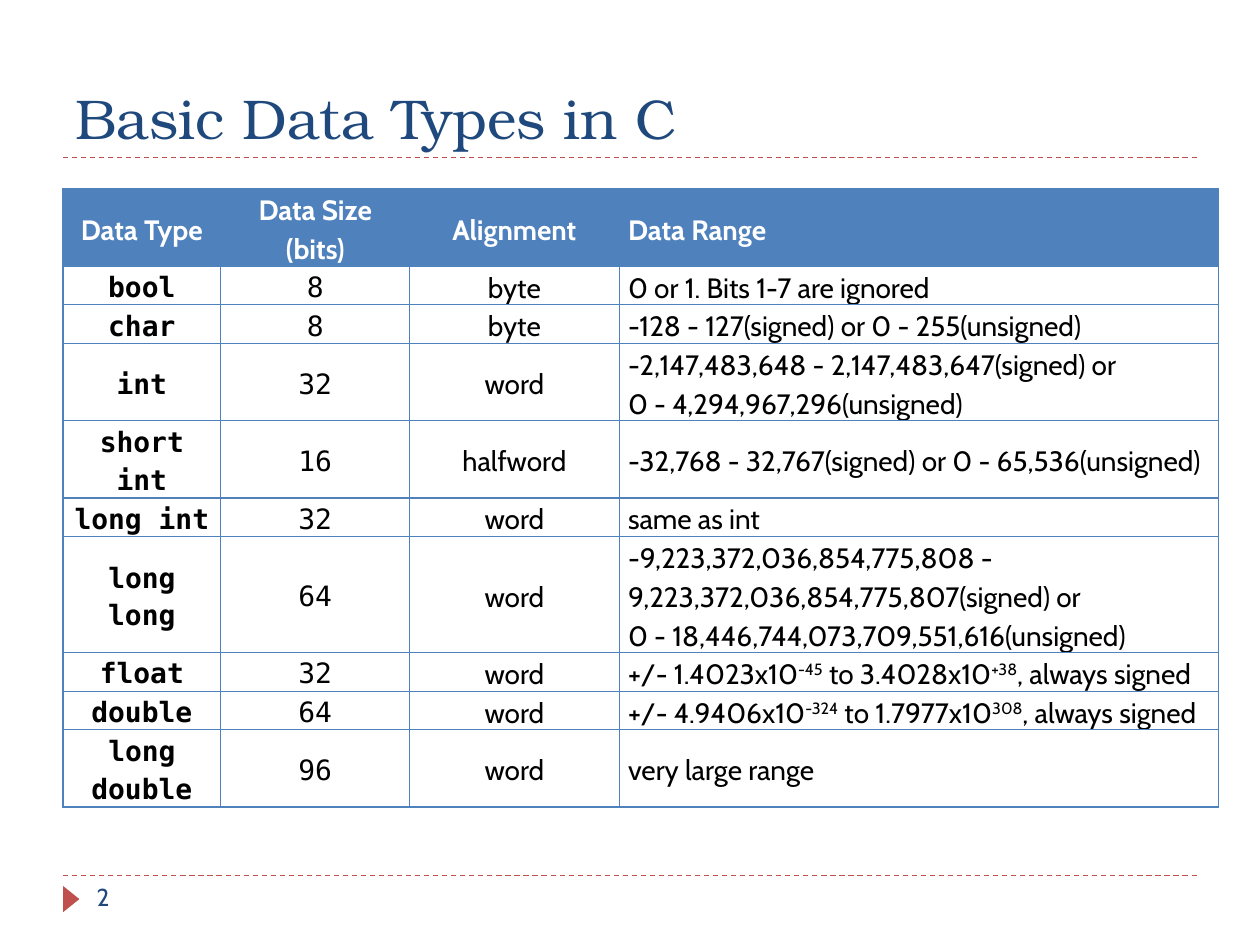
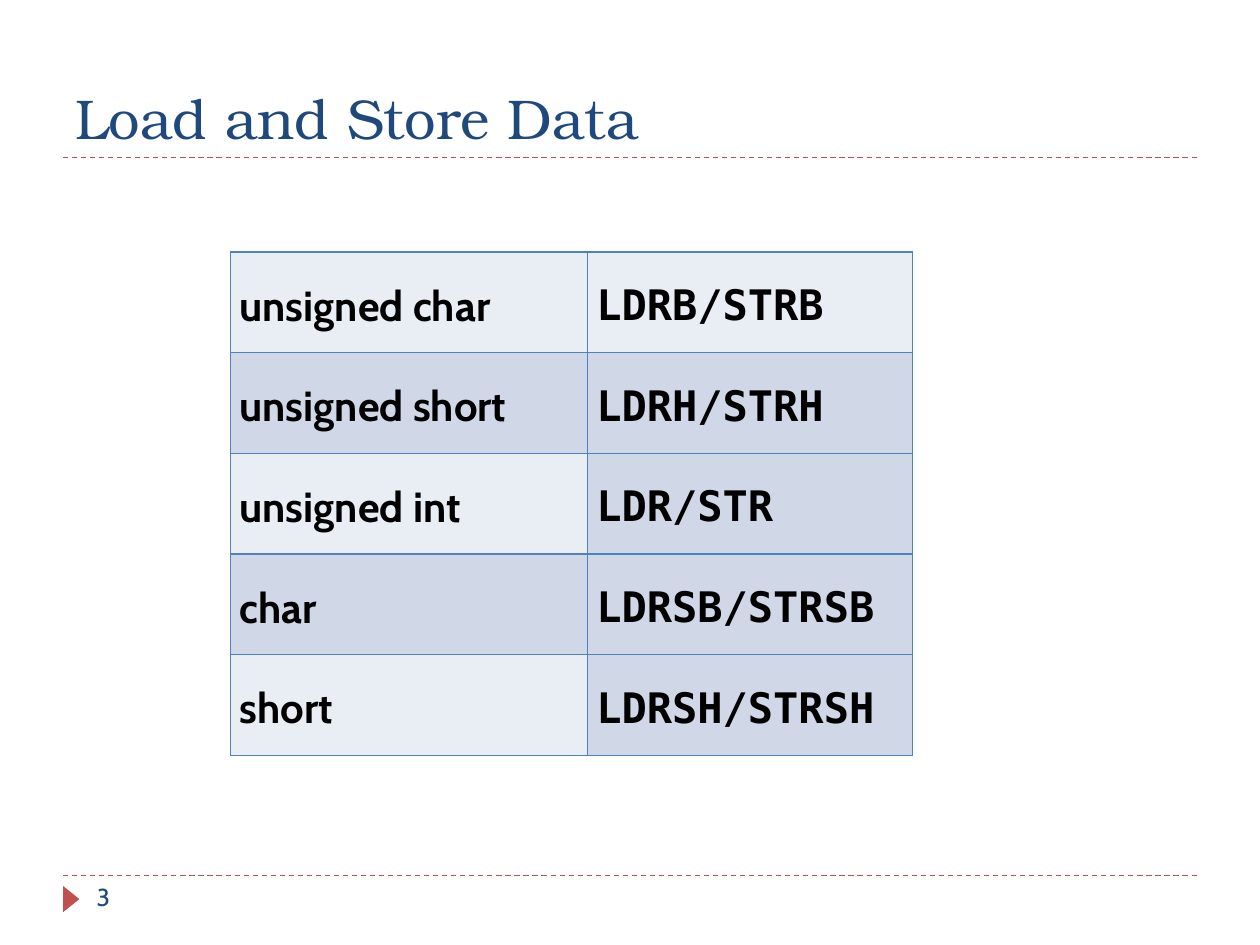
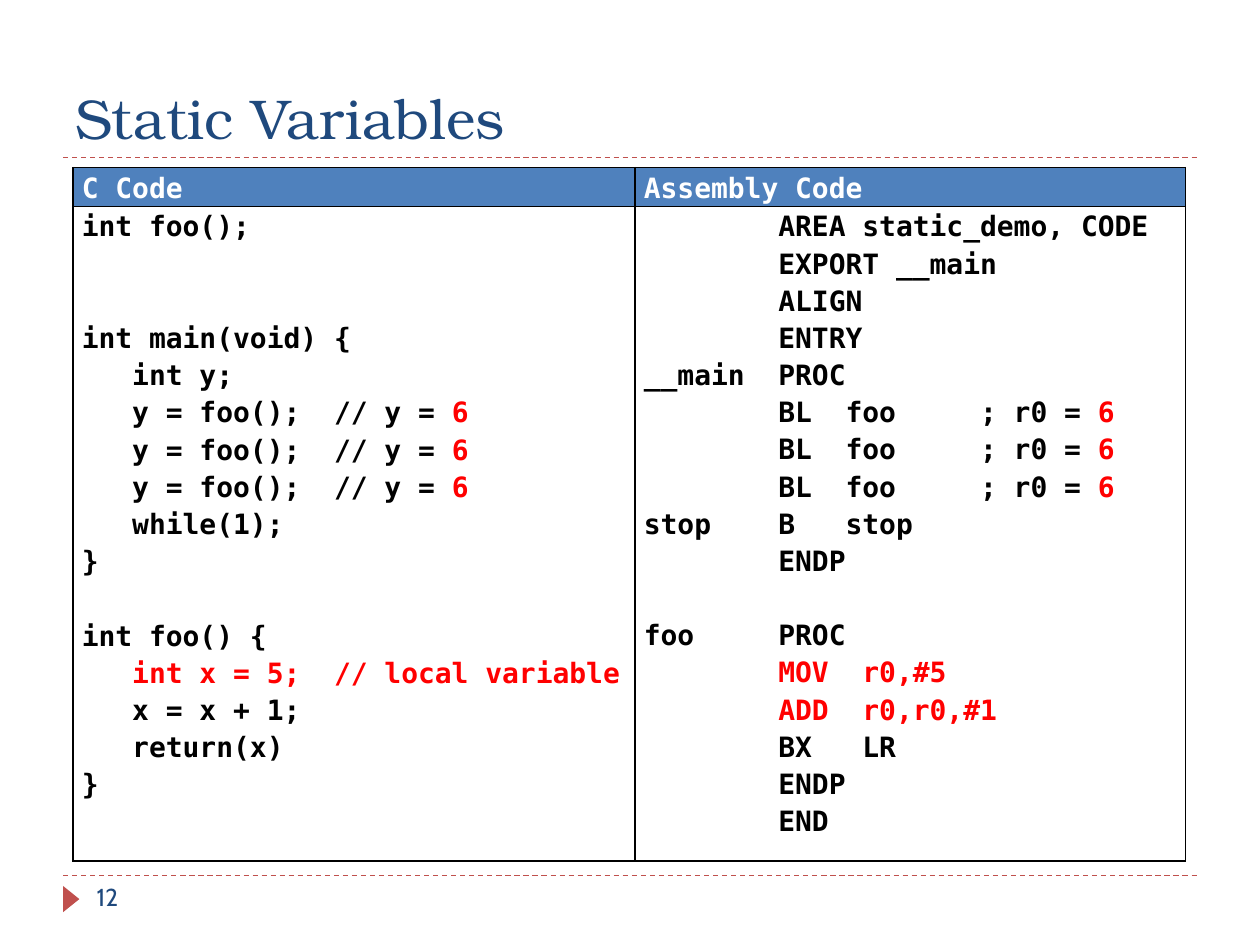
from dataclasses import dataclass, replace

from lxml import etree
from pptx import Presentation
from pptx.dml.color import RGBColor as Rgb
from pptx.enum.dml import MSO_LINE_DASH_STYLE as Dash
from pptx.enum.shapes import MSO_CONNECTOR as Connector, MSO_SHAPE as Shape
from pptx.enum.text import MSO_ANCHOR as Anchor, PP_ALIGN as Align
from pptx.oxml import parse_xml
from pptx.oxml.ns import nsdecls, qn
from pptx.util import Cm, Pt

COLORS = {
    "navy": "1F497D",
    "brick": "C0504D",
    "blue": "4F81BD",
    "pale": "E9EDF4",
    "mist": "D0D8E8",
    "white": "FFFFFF",
    "black": "000000",
    "red": "FF0000",
}
SERIF, SANS, MONO = "TeX Gyre Bonum", "Cabin", "DejaVu Sans Mono"
LEFT, RIGHT = 1.27, 24.13
TITLE_RULE, FOOTER_RULE = 3.18, 17.65
CODE_LINE = 21.3

TYPE_ROWS = [
    ("bool", "8", "byte", "0 or 1. Bits 1-7 are ignored"),
    ("char", "8", "byte", "-128 - 127(signed) or 0 - 255(unsigned)"),
    ("int", "32", "word",
     "-2,147,483,648 - 2,147,483,647(signed) or\n0 - 4,294,967,296(unsigned)"),
    ("short int", "16", "halfword", "-32,768 - 32,767(signed) or 0 - 65,536(unsigned)"),
    ("long int", "32", "word", "same as int"),
    ("long long", "64", "word",
     "-9,223,372,036,854,775,808 - 9,223,372,036,854,775,807(signed) or\n"
     "0 - 18,446,744,073,709,551,616(unsigned)"),
    ("float", "32", "word", "+/- 1.4023x10|-45| to 3.4028x10|+38|, always signed"),
    ("double", "64", "word", "+/- 4.9406x10|-324| to 1.7977x10|308|, always signed"),
    ("long double", "96", "word", "very large range"),
]
TYPE_HEIGHTS = [1.4, 0.74, 0.74, 1.5, 0.66, 0.74, 2.24, 0.74, 0.74, 1.47]

LOAD_STORE_ROWS = [
    ("unsigned char", "LDRB/STRB", "pale", "pale"),
    ("unsigned short", "LDRH/STRH", "mist", "mist"),
    ("unsigned int", "LDR/STR", "pale", "mist"),
    ("char", "LDRSB/STRSB", "mist", "mist"),
    ("short", "LDRSH/STRSH", "pale", "mist"),
]

C_CODE = """int foo();


int main(void) {
   int y;
   y = foo();  // y = |6|
   y = foo();  // y = |6|
   y = foo();  // y = |6|
   while(1);
}

int foo() {
|   int x = 5;  // local variable|
   x = x + 1;
   return(x)
}"""

ASSEMBLY_CODE = """        AREA static_demo, CODE
        EXPORT __main
        ALIGN
        ENTRY
__main  PROC
        BL  foo     ; r0 = |6|
        BL  foo     ; r0 = |6|
        BL  foo     ; r0 = |6|
stop    B   stop
        ENDP

foo     PROC
|        MOV  r0,#5|
|        ADD  r0,r0,#1|
        BX   LR
        ENDP
        END"""


@dataclass(frozen=True)
class Style:
    font: str
    size: int
    color: str = "black"
    bold: bool = False
    align: Align = Align.LEFT
    anchor: Anchor = Anchor.MIDDLE
    fill: str = ""
    mark: str = ""


def rgb(name):
    return Rgb.from_string(COLORS[name])


def format_font(font, style):
    font.name, font.size, font.bold = style.font, Pt(style.size), style.bold
    font.color.rgb = rgb(style.color)


def add_text(page, text, left, top, width, height, style):
    box = page.shapes.add_textbox(Cm(left), Cm(top), Cm(width), Cm(height))
    frame = box.text_frame
    frame.word_wrap = True
    frame.vertical_anchor = style.anchor
    frame.text = text
    format_font(frame.paragraphs[0].runs[0].font, style)


def add_rule(page, top):
    rule = page.shapes.add_connector(
        Connector.STRAIGHT, Cm(LEFT), Cm(top), Cm(RIGHT), Cm(top))
    rule.line.color.rgb = rgb("brick")
    rule.line.width = Pt(0.75)
    rule.line.dash_style = Dash.DASH
    etree.SubElement(rule._element.spPr, qn("a:effectLst"))


def add_page(deck, title, number):
    page = deck.slides.add_slide(deck.slide_layouts[6])
    add_rule(page, FOOTER_RULE)
    add_rule(page, TITLE_RULE)
    marker = page.shapes.add_shape(
        Shape.ISOSCELES_TRIANGLE, Cm(1.17), Cm(17.96), Cm(0.53), Cm(0.33))
    marker.rotation = 90
    marker.shadow.inherit = False
    marker.fill.solid()
    marker.fill.fore_color.rgb = rgb("brick")
    marker.line.fill.background()
    add_text(page, title, LEFT, 0.43, RIGHT - LEFT, 2.74,
             Style(SERIF, 32, "navy", anchor=Anchor.BOTTOM))
    add_text(page, str(number), 1.7, FOOTER_RULE, 5.51, 1.02,
             Style(SANS, 14, "navy", anchor=Anchor.TOP))
    return page


def set_borders(cell, color, width):
    properties = cell._tc.get_or_add_tcPr()
    for side in "LRTB":
        properties.append(parse_xml(
            f'<a:ln{side} {nsdecls("a")} w="{Pt(width)}"><a:solidFill>'
            f'<a:srgbClr val="{COLORS[color]}"/></a:solidFill></a:ln{side}>'))


def write_line(para, line, style):
    para.alignment = style.align
    para.line_spacing = 1.15
    for index, part in enumerate(line.split("|")):
        if not part:
            continue
        span = para.add_run()
        span.text = part
        format_font(span.font, style)
        if index % 2 and style.mark == "superscript":
            span._r.get_or_add_rPr().set("baseline", "30000")
        elif index % 2:
            span.font.color.rgb = rgb(style.mark)


def write_cell(cell, text, style):
    cell.margin_left = cell.margin_right = Cm(0.18)
    cell.margin_top = cell.margin_bottom = 0
    cell.vertical_anchor = style.anchor
    if style.fill:
        cell.fill.solid()
        cell.fill.fore_color.rgb = rgb(style.fill)
    else:
        cell.fill.background()
    para, gap = cell.text_frame.paragraphs[0], 0
    for index, line in enumerate(text.split("\n")):
        if not line:
            gap += 1
            continue
        if index:
            para = cell.text_frame.add_paragraph()
        if gap:
            para.space_before = Pt(CODE_LINE * gap)
        write_line(para, line, style)
        gap = 0


def add_grid(page, left, top, widths, heights, rows, border, border_width):
    frame = page.shapes.add_table(
        len(heights), len(widths), Cm(left), Cm(top), Cm(sum(widths)), Cm(sum(heights)))
    table = frame.table
    table.first_row = table.horz_banding = False
    for column, width in zip(table.columns, widths):
        column.width = Cm(width)
    for row, height, entries in zip(table.rows, heights, rows):
        row.height = Cm(height)
        for cell, (text, style) in zip(row.cells, entries):
            set_borders(cell, border, border_width)
            write_cell(cell, text, style)


def add_types_page(deck):
    page = add_page(deck, "Basic Data Types in C", 2)
    head = Style(SANS, 16, "white", True, Align.CENTER, fill="blue")
    body = Style(SANS, 16, align=Align.CENTER)
    head_styles = [head] * 3 + [replace(head, align=Align.LEFT)]
    body_styles = [
        replace(body, font=MONO, bold=True),
        replace(body, font=MONO),
        body,
        replace(body, align=Align.LEFT, mark="superscript"),
    ]
    titles = ["Data Type", "Data Size (bits)", "Alignment", "Data Range"]
    rows = [zip(titles, head_styles)] + [zip(row, body_styles) for row in TYPE_ROWS]
    add_grid(page, LEFT, 3.81, [3.18, 3.81, 4.22, 12.09], TYPE_HEIGHTS, rows, "blue", 0.75)


def add_load_store_page(deck):
    page = add_page(deck, "Load and Store Data", 3)
    rows = [
        [(kind, Style(SANS, 24, bold=True, fill=kind_fill)),
         (opcodes, Style(MONO, 24, bold=True, fill=opcode_fill))]
        for kind, opcodes, kind_fill, opcode_fill in LOAD_STORE_ROWS
    ]
    add_grid(page, 4.65, 5.08, [7.19, 6.55], [2.03] * len(rows), rows, "blue", 1)


def add_static_page(deck):
    page = add_page(deck, "Static Variables", 12)
    code = Style(MONO, 16, bold=True, anchor=Anchor.TOP, mark="red")
    head = replace(code, color="white", fill="blue")
    rows = [
        [("C Code", head), ("Assembly Code", head)],
        [(C_CODE, code), (ASSEMBLY_CODE, code)],
    ]
    add_grid(page, 1.47, 3.38, [11.33, 11.1], [0.74, 12.6], rows, "black", 1)


def main():
    deck = Presentation()
    deck.slide_width, deck.slide_height = Cm(25.4), Cm(19.05)
    add_types_page(deck)
    add_load_store_page(deck)
    add_static_page(deck)
    deck.save("out.pptx")


if __name__ == "__main__":
    main()
